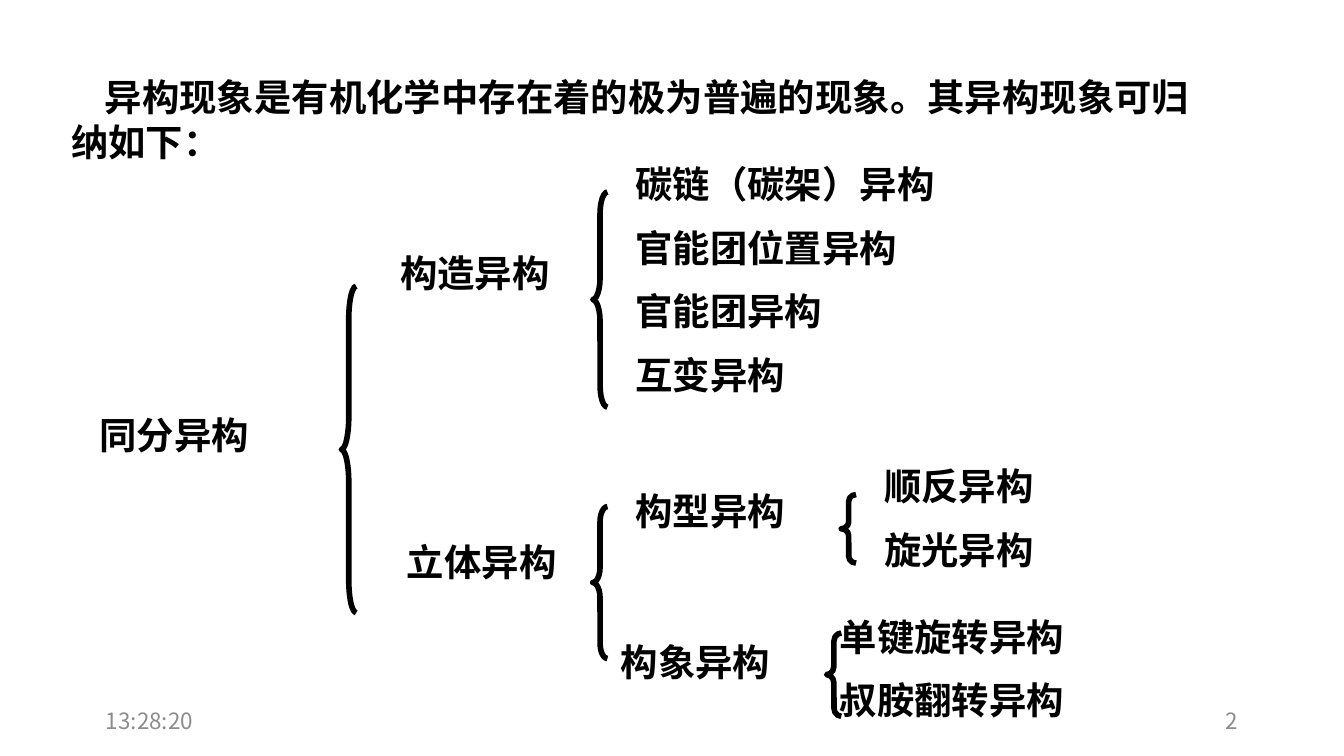
from lxml.etree import SubElement
from pptx import Presentation
from pptx.dml.color import RGBColor
from pptx.enum.lang import MSO_LANGUAGE_ID
from pptx.enum.shapes import MSO_SHAPE
from pptx.enum.text import MSO_ANCHOR, PP_ALIGN
from pptx.oxml.ns import qn
from pptx.util import Inches, Pt

SANS = "Noto Sans CJK SC"
SERIF = "Times New Roman"
BRACE = 0.11


def color(code):
    return RGBColor.from_string(code)


def place(shape, box):
    shape.left, shape.top, shape.width, shape.height = map(Inches, box)


def write(frame, lines, face, size=20, bold=True, ink="000000",
          align=PP_ALIGN.LEFT, anchor=MSO_ANCHOR.TOP):
    frame.text = "\n".join(lines)
    frame.word_wrap = True
    frame.vertical_anchor = anchor
    for index, para in enumerate(frame.paragraphs):
        para.alignment = align
        para.line_spacing = 1.0
        para.space_before = Pt(10 if index else 0)
        for run in para.runs:
            font = run.font
            font.name, font.size, font.bold = face, Pt(size), bold
            font.color.rgb = color(ink)
            font.language_id = MSO_LANGUAGE_ID.SIMPLIFIED_CHINESE
            SubElement(run._r.get_or_add_rPr(), qn("a:ea"), typeface=SANS)


def label(slide, box, lines, face=SERIF, **style):
    text = slide.shapes.add_textbox(*map(Inches, box))
    write(text.text_frame, lines, face, **style)


def brace(slide, left, top, height):
    shape = slide.shapes.add_shape(
        MSO_SHAPE.LEFT_BRACE, *map(Inches, (left, top, BRACE, height)))
    shape.shadow.inherit = False
    shape.fill.background()
    shape.line.color.rgb = color("000000")
    shape.line.width = Pt(3)
    shape.adjustments[0] = height / BRACE / 10


def heading(slide, box, text):
    title = slide.shapes.title
    place(title, box)
    write(title.text_frame, [text], SANS)
    props = title.text_frame.paragraphs[0]._p.get_or_add_pPr()
    props.set("marL", "0")
    props.set("indent", str(Inches(0.25)))


def root(slide, x, y):
    label(slide, (x, y + 0.89, 1.75, 0.43), ["同分异构"], SANS)
    brace(slide, x + 1.9, y, 2.43)


def frame(slide, x, y):
    label(slide, (x, y + 0.66, 1.6, 0.43), ["构造异构"])
    brace(slide, x + 1.53, y + 0.28, 1.6)
    label(slide, (x + 1.75, y, 2.94, 1.95),
          ["碳链（碳架）异构", "官能团位置异构", "官能团异构", "互变异构"])


def stereo(slide, x, y):
    label(slide, (x, y + 0.56, 1.6, 0.43), ["立体异构"])
    brace(slide, x + 1.48, y + 0.37, 1.13)
    label(slide, (x + 1.7, y + 0.18, 1.96, 0.43), ["构型异构"])
    brace(slide, x + 3.33, y + 0.28, 0.51)
    label(slide, (x + 3.55, y, 3.16, 0.93), ["顺反异构", "旋光异构"])
    label(slide, (x + 1.59, y + 1.31, 1.74, 0.43), ["构象异构"])
    brace(slide, x + 3.22, y + 1.31, 0.62)
    label(slide, (x + 3.22, y + 1.12, 2.54, 0.93),
          ["单键旋转异构", "叔胺翻转异构"])


def footer(slide, x, y, width):
    style = dict(face=SANS, size=12, bold=False, ink="8C8C8C",
                 anchor=MSO_ANCHOR.MIDDLE)
    label(slide, (x, y, 2.25, 0.3), ["13:28:20"], **style)
    label(slide, (x + width - 2.25, y, 2.25, 0.3), ["2"],
          align=PP_ALIGN.RIGHT, **style)


def main():
    deck = Presentation()
    deck.slide_width = Inches(10)
    deck.slide_height = deck.slide_width * 9 // 16
    slide = deck.slides.add_slide(deck.slide_layouts[5])
    heading(slide, (0.43, 0.5, 8.58, 0.82),
            "异构现象是有机化学中存在着的极为普遍的现象。其异构现象可归纳如下：")
    root(slide, 0.64, 2.13)
    frame(slide, 2.88, 1.15)
    stereo(slide, 2.93, 3.4)
    footer(slide, 0.69, 5.21, 8.62)
    deck.save("out.pptx")


if __name__ == "__main__":
    main()
